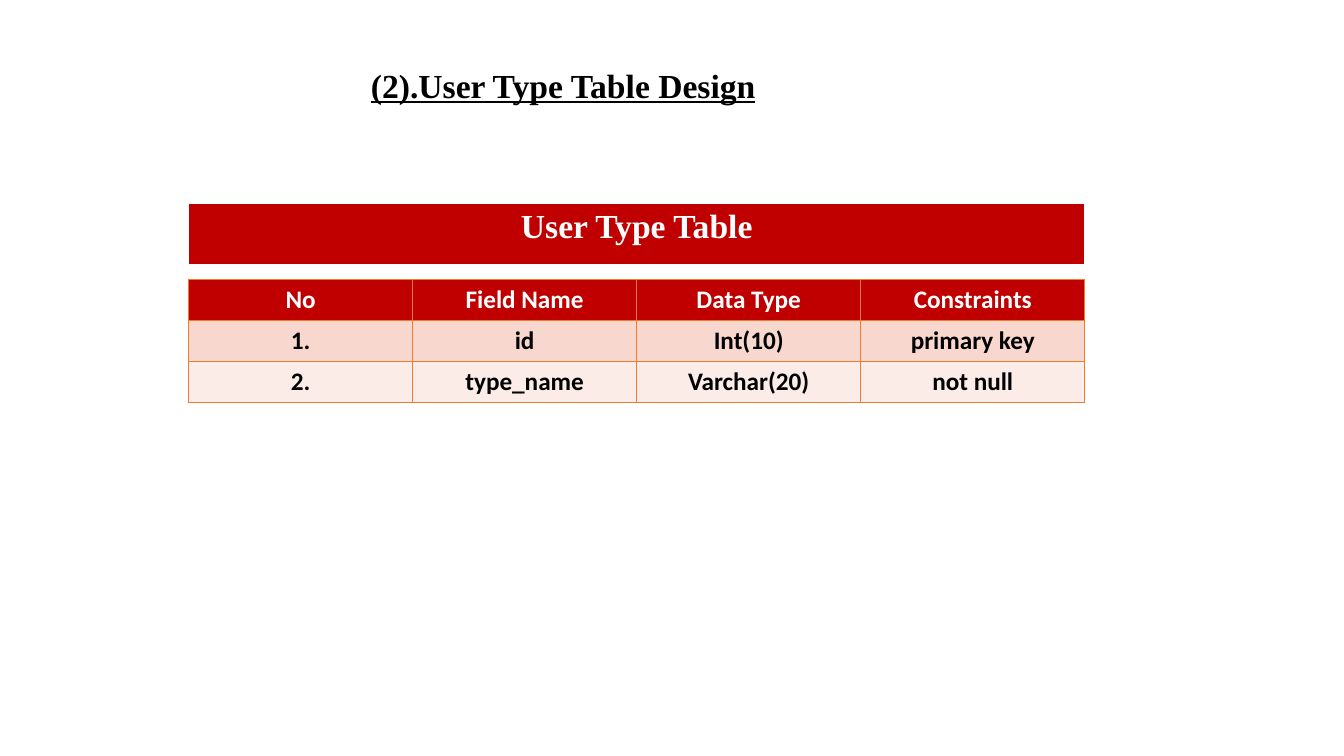
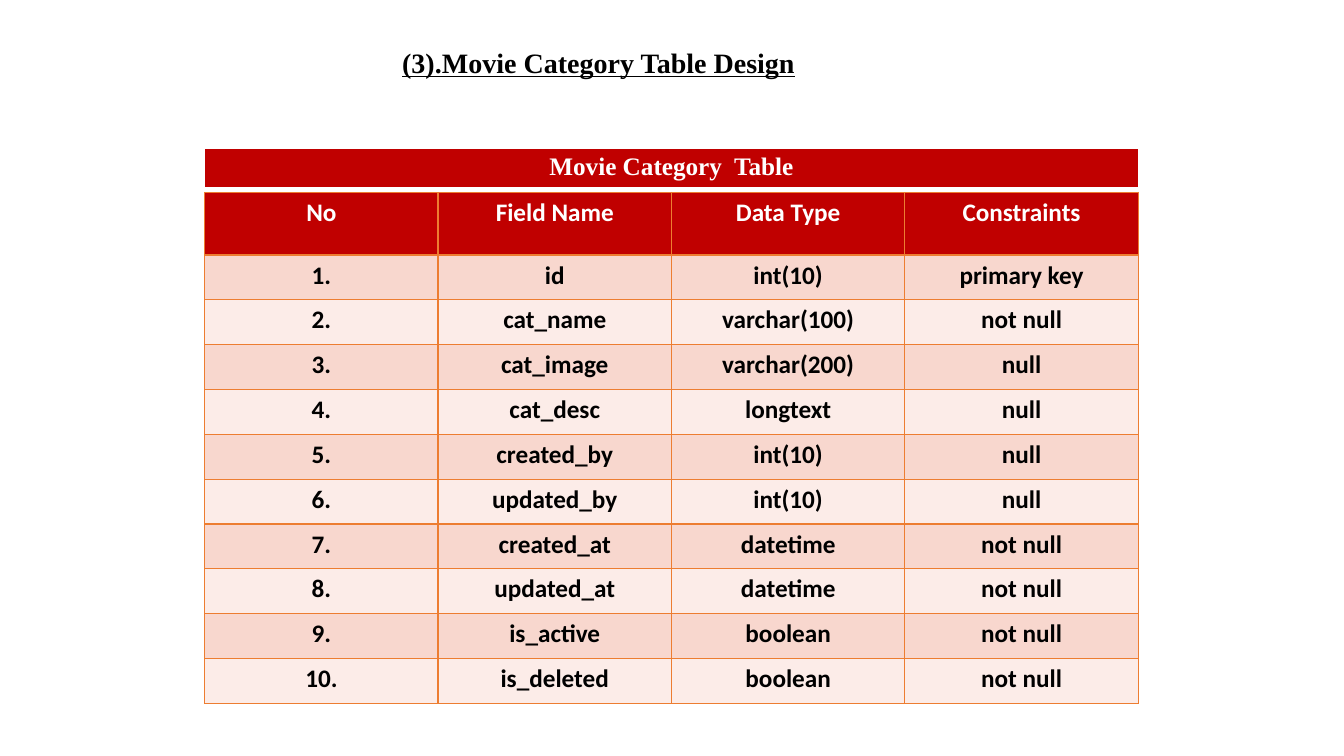
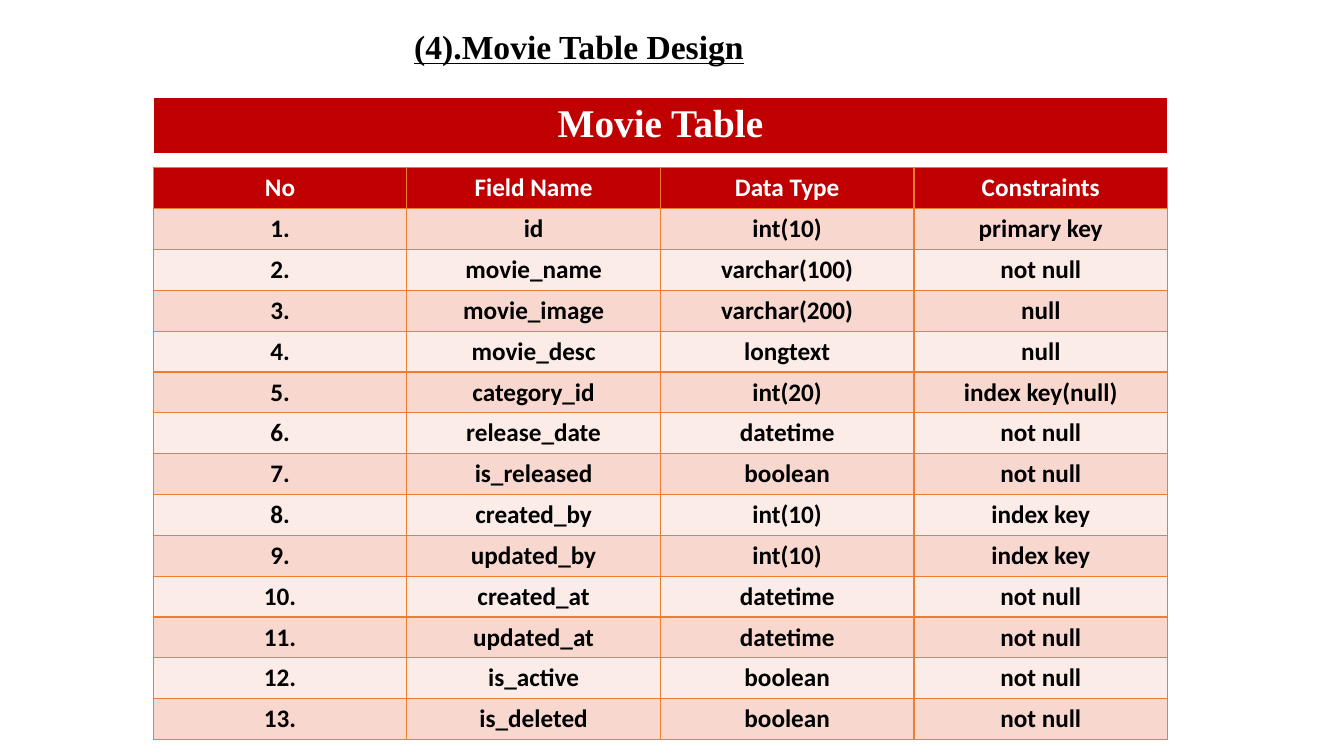
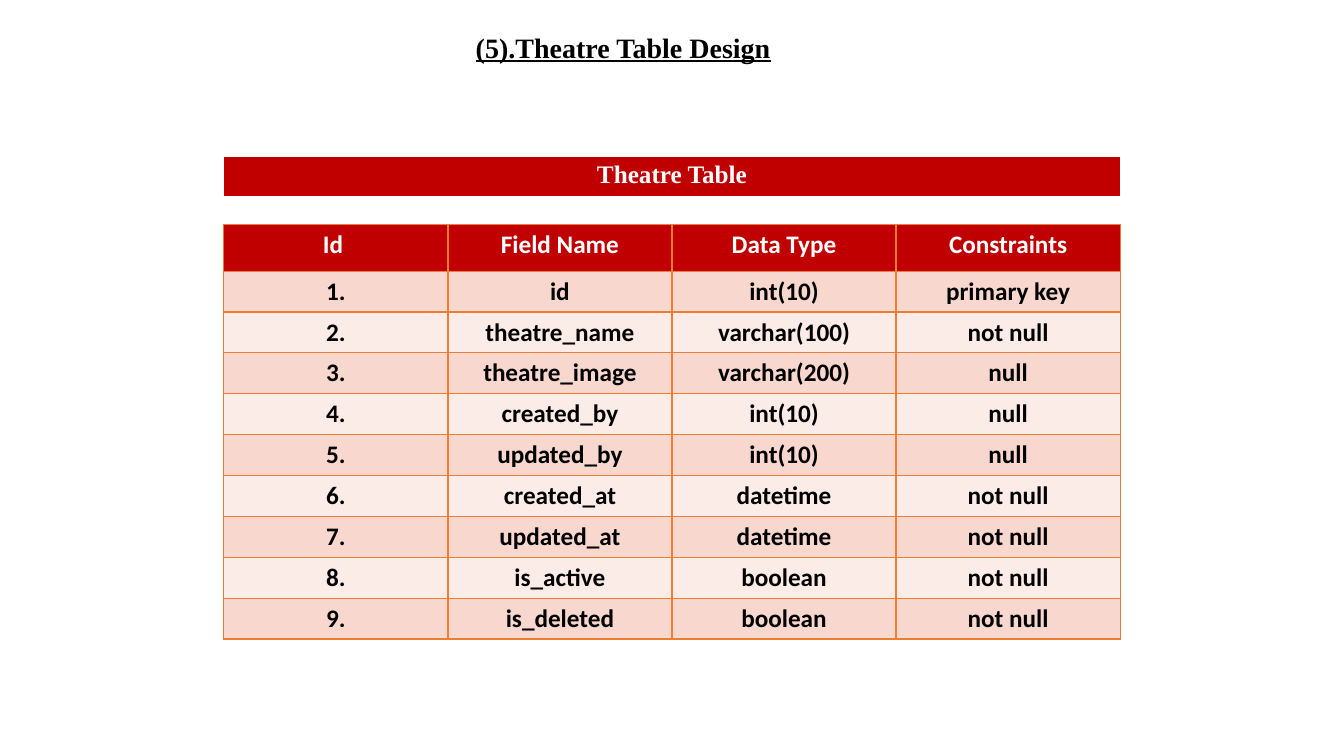
"""Build four slides that document database table designs."""
from lxml import etree
from pptx import Presentation
from pptx.dml.color import RGBColor
from pptx.enum.text import MSO_AUTO_SIZE, PP_ALIGN
from pptx.oxml.ns import qn
from pptx.util import Inches, Pt

CENTER = PP_ALIGN.CENTER
GROW = MSO_AUTO_SIZE.SHAPE_TO_FIT_TEXT

RED = RGBColor(0xC0, 0x00, 0x00)
ORANGE = RGBColor(0xED, 0x7D, 0x31)
WHITE = RGBColor(0xFF, 0xFF, 0xFF)
BLACK = RGBColor(0x00, 0x00, 0x00)
BANDS = (RGBColor(0xF8, 0xD7, 0xCE), RGBColor(0xFC, 0xEC, 0xE8))

TITLE_FORMAT = {"name": "Times New Roman", "bold": True, "underline": True}
BANNER_FORMAT = {"name": "Times New Roman", "bold": True}
CELL_FORMAT = {"name": "Calibri", "bold": True, "size": Pt(18)}
BANNER_BORDERS = {"L": (WHITE, 1), "R": (WHITE, 1), "T": (WHITE, 1), "B": (WHITE, 3)}
GRID_BORDERS = {side: (ORANGE, 1) for side in "LRTB"}

HEADINGS = ("Field Name", "Data Type", "Constraints")
AUDIT_TIMES = [
    ("created_at", "datetime", "not null"),
    ("updated_at", "datetime", "not null"),
]
AUDIT_FLAGS = [
    ("is_active", "boolean", "not null"),
    ("is_deleted", "boolean", "not null"),
]
AUDIT_USERS = [("created_by", "int(10)", "null"), ("updated_by", "int(10)", "null")]

SLIDES = [
    {
        "title": "(2).User Type Table Design", "title_size": 24,
        "title_box": (3.58, 0.59, 4.18, 0.5),
        "banner": "User Type Table", "banner_size": 24,
        "banner_box": (1.87, 2.02, 8.89, 0.62),
        "key": "No", "grid_box": (1.87, 2.77, 8.89, 1.22), "head_height": 0.41,
        "fields": [
            ("id", "Int(10)", "primary key"),
            ("type_name", "Varchar(20)", "not null"),
        ],
    },
    {
        "title": "(3).Movie Category Table Design", "title_size": 20,
        "title_box": (3.89, 0.4, 4.67, 0.44),
        "banner": "Movie Category  Table", "banner_size": 18,
        "banner_box": (2.03, 1.47, 9.26, 0.39),
        "key": "No", "grid_box": (2.03, 1.91, 9.26, 5.07), "head_height": 0.62,
        "fields": [
            ("id", "int(10)", "primary key"),
            ("cat_name", "varchar(100)", "not null"),
            ("cat_image", "varchar(200)", "null"),
            ("cat_desc", "longtext", "null"),
            *AUDIT_USERS, *AUDIT_TIMES, *AUDIT_FLAGS,
        ],
    },
    {
        "title": "(4).Movie Table Design", "title_size": 24,
        "title_box": (4.01, 0.21, 4.15, 0.52),
        "banner": "Movie Table", "banner_size": 28,
        "banner_box": (1.52, 0.97, 10.06, 0.55),
        "key": "No", "grid_box": (1.52, 1.66, 10.06, 5.68), "head_height": 0.41,
        "fields": [
            ("id", "int(10)", "primary key"),
            ("movie_name", "varchar(100)", "not null"),
            ("movie_image", "varchar(200)", "null"),
            ("movie_desc", "longtext", "null"),
            ("category_id", "int(20)", "index key(null)"),
            ("release_date", "datetime", "not null"),
            ("is_released", "boolean", "not null"),
            ("created_by", "int(10)", "index key"),
            ("updated_by", "int(10)", "index key"),
            *AUDIT_TIMES, *AUDIT_FLAGS,
        ],
    },
    {
        "title": "(5).Theatre Table Design", "title_size": 20,
        "title_box": (4.62, 0.25, 3.54, 0.44),
        "banner": "Theatre Table", "banner_size": 18,
        "banner_box": (2.22, 1.55, 8.89, 0.41),
        "key": "Id ", "grid_box": (2.22, 2.23, 8.89, 4.11), "head_height": 0.46,
        "fields": [
            ("id", "int(10)", "primary key"),
            ("theatre_name", "varchar(100)", "not null"),
            ("theatre_image", "varchar(200)", "null"),
            *AUDIT_USERS, *AUDIT_TIMES, *AUDIT_FLAGS,
        ],
    },
]


def write(p, text, color, formats):
    r = p.add_run()
    r.text = text
    r.font.color.rgb = color
    for name, value in formats.items():
        setattr(r.font, name, value)


def set_borders(cell, borders):
    tc_pr = cell._tc.get_or_add_tcPr()
    for i, (side, (color, width)) in enumerate(borders.items()):
        ln = etree.Element(qn(f"a:ln{side}"), w=str(Pt(width)))
        fill = etree.SubElement(ln, qn("a:solidFill"))
        etree.SubElement(fill, qn("a:srgbClr"), val=str(color))
        tc_pr.insert(i, ln)


def add_grid(s, box, rows, heights, formats, borders):
    columns = len(rows[0])
    table = s.shapes.add_table(len(rows), columns, *map(Inches, box)).table
    for i, (texts, height) in enumerate(zip(rows, heights)):
        table.rows[i].height = Inches(height)
        fill = BANDS[(i - 1) % 2] if i else RED
        for cell, text in zip(table.rows[i].cells, texts):
            cell.fill.solid()
            cell.fill.fore_color.rgb = fill
            set_borders(cell, borders)
            p = cell.text_frame.paragraphs[0]
            p.alignment = CENTER
            write(p, text, BLACK if i else WHITE, formats)


def add_title(s, box, text, size):
    tf = s.shapes.add_textbox(*map(Inches, box)).text_frame
    tf.word_wrap = True
    tf.auto_size = GROW
    write(tf.paragraphs[0], text, BLACK, {**TITLE_FORMAT, "size": Pt(size)})


def add_design(prs, d):
    s = prs.slides.add_slide(prs.slide_layouts[6])
    rows = [(d["key"], *HEADINGS)]
    rows += [(f"{i}.", *field) for i, field in enumerate(d["fields"], 1)]
    count = len(d["fields"])
    row_height = (d["grid_box"][3] - d["head_height"]) / count
    heights = [d["head_height"]] + [row_height] * count
    banner_format = {**BANNER_FORMAT, "size": Pt(d["banner_size"])}
    add_grid(s, d["grid_box"], rows, heights, CELL_FORMAT, GRID_BORDERS)
    add_grid(s, d["banner_box"], [(d["banner"],)], [d["banner_box"][3]],
             banner_format, BANNER_BORDERS)
    add_title(s, d["title_box"], d["title"], d["title_size"])


def main():
    prs = Presentation()
    prs.slide_width, prs.slide_height = Inches(13.33), Inches(7.5)
    for design in SLIDES:
        add_design(prs, design)
    prs.save("out.pptx")


if __name__ == "__main__":
    main()
